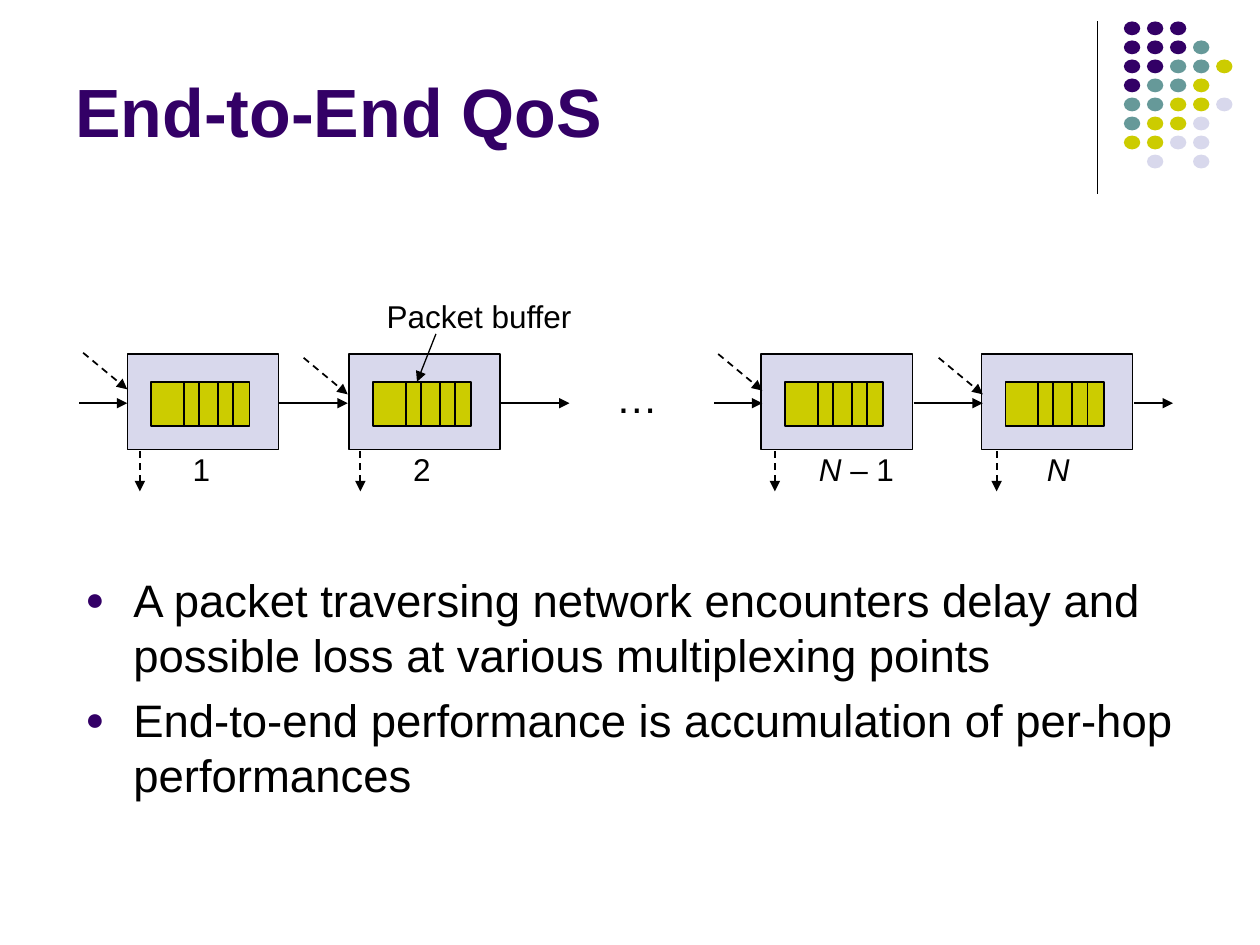
from dataclasses import dataclass
from typing import NamedTuple

from lxml import etree
from pptx import Presentation
from pptx.dml.color import RGBColor
from pptx.enum.dml import MSO_LINE
from pptx.enum.shapes import MSO_CONNECTOR, MSO_SHAPE
from pptx.enum.text import MSO_ANCHOR
from pptx.oxml.ns import qn
from pptx.util import Inches, Pt

DASH = MSO_LINE.DASH
STRAIGHT = MSO_CONNECTOR.STRAIGHT
RECTANGLE, OVAL = MSO_SHAPE.RECTANGLE, MSO_SHAPE.OVAL
TOP, BOTTOM = MSO_ANCHOR.TOP, MSO_ANCHOR.BOTTOM


@dataclass(frozen=True)
class Theme:
    font: str = "Arial"
    ink: str = "000000"
    purple: str = "330066"
    teal: str = "669999"
    lime: str = "CCCC00"
    lavender: str = "D8D8EC"
    title_size: float = 39
    body_size: float = 26
    ellipsis_size: float = 24
    label_size: float = 18
    thin: float = 0.75
    medium: float = 1


class Box(NamedTuple):
    left: float
    top: float
    width: float
    height: float


class Run(NamedTuple):
    text: str
    italic: bool = False


@dataclass(frozen=True)
class Node:
    left: float
    label: Box
    runs: tuple[Run, ...]
    entry: tuple[float, float]  # start of the dashed side arrow
    exit_offset: float  # dashed exit arrow, from the node's left edge


@dataclass(frozen=True)
class Arrow:
    start: tuple[float, float]
    end: tuple[float, float]
    width: float = 1
    dashed: bool = False


THEME = Theme()

# Corner dots, one letter per colour
DOT_COLORS = {"P": THEME.purple, "T": THEME.teal, "Y": THEME.lime, "L": THEME.lavender}
DOT_ROWS = ("PPP", "PPPT", "PPTTY", "PTTY", "TTYYL", "TYYL", "YYLL", " L L")

# Multiplexing nodes
NODE_TOP, NODE_WIDTH, NODE_HEIGHT = 2.81, 1.2, 0.76
BUFFER_INSET, BUFFER_TOP, BUFFER_WIDTH, BUFFER_HEIGHT = 0.19, 3.03, 0.78, 0.35
DIVIDER_OFFSETS = (0.45, 0.57, 0.72, 0.84)
LABEL_TOP, LABEL_HEIGHT = 3.52, 0.4
NODES = (
    Node(1.01, Box(1.43, LABEL_TOP, 0.34, LABEL_HEIGHT), (Run("1"),), (0.66, 2.8), 0.1),
    Node(2.77, Box(3.18, LABEL_TOP, 0.34, LABEL_HEIGHT), (Run("2"),), (2.41, 2.84), 0.09),
    Node(6.04, Box(6.4, LABEL_TOP, 0.8, LABEL_HEIGHT), (Run("N ", True), Run("– 1")), (5.7, 2.81), 0.11),
    Node(7.79, Box(8.21, LABEL_TOP, 0.38, LABEL_HEIGHT), (Run("N", True),), (7.45, 2.84), 0.12),
)
FLOW_Y = 3.2
FLOWS = ((0.63, 1.01), (2.21, 2.76), (3.97, 4.52), (5.67, 6.05), (7.25, 7.8), (9, 9.31))

BULLETS = (
    "A packet traversing network encounters delay and possible loss at various multiplexing points",
    "End-to-end performance is accumulation of per-hop performances",
)


def add_block(slide, kind, box: Box, fill: str, line_width: float = 0) -> None:
    shape = slide.shapes.add_shape(kind, *map(Inches, box))
    shape.shadow.inherit = False
    shape.fill.solid()
    shape.fill.fore_color.rgb = RGBColor.from_string(fill)
    if line_width:
        shape.line.color.rgb = RGBColor.from_string(THEME.ink)
        shape.line.width = Pt(line_width)
    else:
        shape.line.fill.background()


def add_line(slide, start, end, width: float, dashed: bool = False, arrow: bool = False) -> None:
    connector = slide.shapes.add_connector(STRAIGHT, *map(Inches, (*start, *end)))
    connector.line.color.rgb = RGBColor.from_string(THEME.ink)
    connector.line.width = Pt(width)
    if dashed:
        connector.line.dash_style = DASH
    if arrow:
        etree.SubElement(connector.line._get_or_add_ln(), qn("a:tailEnd"), type="triangle")
    etree.SubElement(connector._element.spPr, qn("a:effectLst"))


def add_text(slide, box: Box, paragraphs, size: float, color: str = THEME.ink,
             bold: bool = False, wrap: bool = False, anchor=TOP):
    frame = slide.shapes.add_textbox(*map(Inches, box)).text_frame
    frame.word_wrap = wrap
    frame.vertical_anchor = anchor
    for index, runs in enumerate(paragraphs):
        paragraph = frame.paragraphs[0] if index == 0 else frame.add_paragraph()
        for text, italic in runs:
            run = paragraph.add_run()
            run.text = text
            run.font.color.rgb = RGBColor.from_string(color)
            formats = {"name": THEME.font, "size": Pt(size), "bold": bold, "italic": italic}
            for name, value in formats.items():
                setattr(run.font, name, value)
    return frame


def add_bullet(paragraph) -> None:
    paragraph.space_before = Pt(6.5)
    properties = paragraph._p.get_or_add_pPr()
    properties.set("marL", str(Inches(0.38)))
    properties.set("indent", str(Inches(-0.38)))
    color = etree.SubElement(properties, qn("a:buClr"))
    etree.SubElement(color, qn("a:srgbClr"), val=THEME.purple)
    etree.SubElement(properties, qn("a:buSzPct"), val="70000")
    etree.SubElement(properties, qn("a:buFont"), typeface=THEME.font)
    etree.SubElement(properties, qn("a:buChar"), char="●")


def add_node(slide, node: Node) -> None:
    add_block(slide, RECTANGLE, Box(node.left, NODE_TOP, NODE_WIDTH, NODE_HEIGHT),
              THEME.lavender, THEME.thin)
    add_block(slide, RECTANGLE,
              Box(node.left + BUFFER_INSET, BUFFER_TOP, BUFFER_WIDTH, BUFFER_HEIGHT),
              THEME.lime, THEME.medium)
    for offset in DIVIDER_OFFSETS:
        x = node.left + offset
        add_line(slide, (x, BUFFER_TOP), (x, BUFFER_TOP + BUFFER_HEIGHT), THEME.medium)
    add_text(slide, node.label, [node.runs], THEME.label_size)


def node_arrows(node: Node) -> list[Arrow]:
    x, y = node.entry
    exit_x = node.left + node.exit_offset
    return [
        Arrow((x, y), (x + 0.35, y + 0.29), THEME.medium, True),
        Arrow((exit_x, 3.58), (exit_x, 3.9), THEME.medium, True),
    ]


def main() -> None:
    presentation = Presentation()
    presentation.slide_width, presentation.slide_height = Inches(10), Inches(7.5)
    slide = presentation.slides.add_slide(presentation.slide_layouts[6])

    # Corner decoration
    add_line(slide, (8.71, 0.17), (8.71, 1.54), THEME.thin)
    for row, letters in enumerate(DOT_ROWS):
        for column, letter in enumerate(letters):
            if letter in DOT_COLORS:
                box = Box(8.92 + column * 0.183, 0.17 + row * 0.151, 0.13, 0.11)
                add_block(slide, OVAL, box, DOT_COLORS[letter])

    # Chain of nodes with its arrows
    arrows = [Arrow((start, FLOW_Y), (end, FLOW_Y)) for start, end in FLOWS]
    for node in NODES:
        add_node(slide, node)
        arrows += node_arrows(node)
    arrows.append(Arrow((3.46, 2.65), (3.31, 3.03), THEME.thin))
    for arrow in arrows:
        add_line(slide, arrow.start, arrow.end, arrow.width, arrow.dashed, arrow=True)
    add_text(slide, Box(2.97, 2.31, 1.67, 0.4), [[Run("Packet buffer")]], THEME.label_size)
    add_text(slide, Box(4.79, 2.9, 0.53, 0.5), [[Run("…")]], THEME.ellipsis_size, wrap=True)

    # Title and bullets
    add_text(slide, Box(0.5, 0.13, 8.25, 1.12), [[Run("End-to-End QoS")]], THEME.title_size,
             THEME.purple, bold=True, wrap=True, anchor=BOTTOM)
    body = add_text(slide, Box(0.58, 4.49, 9, 2.08), [[Run(text)] for text in BULLETS],
                    THEME.body_size, wrap=True)
    for paragraph in body.paragraphs:
        add_bullet(paragraph)

    presentation.save("out.pptx")


if __name__ == "__main__":
    main()
